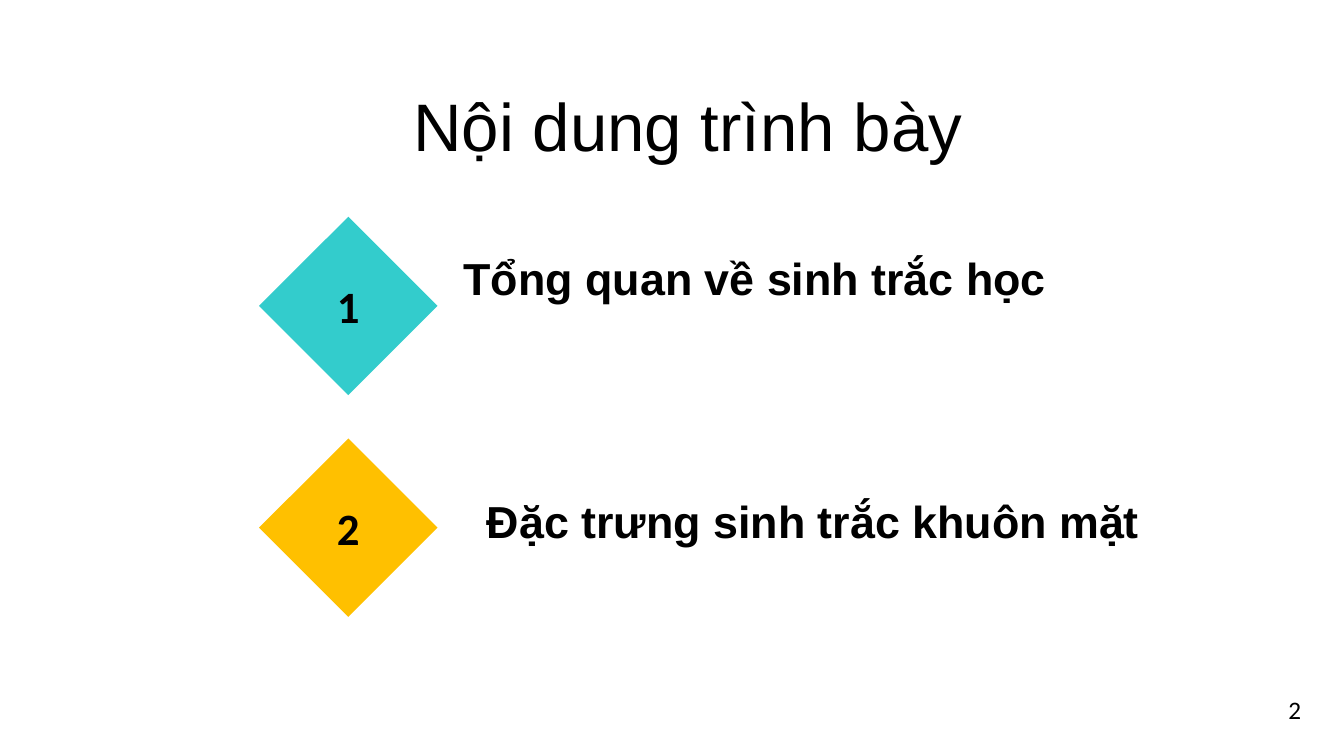
import pptx
import pptx.dml.color
import pptx.enum.shapes
import pptx.enum.text
import pptx.util

PX = 9144
ALIGN = pptx.enum.text.PP_ALIGN
ANCHOR = pptx.enum.text.MSO_ANCHOR
THEME = {
    "ink": "000000",
    "markers": ["33CCCC", "FFC000"],
    "title": {"name": "Arial", "size": pptx.util.Pt(48), "bold": False},
    "topic": {"name": "Arial", "size": pptx.util.Pt(32), "bold": True},
    "marker": {"name": "Calibri", "size": pptx.util.Pt(32), "bold": True},
    "page": {"name": "Calibri", "size": pptx.util.Pt(18), "bold": False},
}
TOPICS = [
    {"text": "Tổng quan về sinh trắc học", "offset": (193, 29)},
    {"text": "Đặc trưng sinh trắc khuôn mặt", "offset": (216, 50)},
]


def color(value):
    """Return the colour for a hexadecimal value."""
    return pptx.dml.color.RGBColor.from_string(value)


def emu(box):
    """Turn a box in px into EMU lengths."""
    return [length * PX for length in box]


def write(shape, text, style, align=ALIGN.LEFT, anchor=ANCHOR.TOP, wrap=True, inset=(10, 5)):
    """Put one formatted paragraph into a shape."""
    frame = shape.text_frame
    horizontal, vertical = emu(inset)
    frame_format = {
        "word_wrap": wrap,
        "auto_size": pptx.enum.text.MSO_AUTO_SIZE.NONE,
        "vertical_anchor": anchor,
        "margin_left": horizontal,
        "margin_right": horizontal,
        "margin_top": vertical,
        "margin_bottom": vertical,
    }
    for name, value in frame_format.items():
        setattr(frame, name, value)
    paragraph = frame.paragraphs[0]
    paragraph.alignment = align
    run = paragraph.add_run()
    run.text = text
    for name, value in THEME[style].items():
        setattr(run.font, name, value)
    run.font.color.rgb = color(THEME["ink"])


def add_title(slide, box, text):
    """Place and fill the title placeholder."""
    title = slide.shapes.title
    for name, value in zip(("left", "top", "width", "height"), emu(box)):
        setattr(title, name, value)
    write(title, text, "title", ALIGN.CENTER, ANCHOR.MIDDLE)


def add_topic(slide, box, number, topic, fill):
    """Draw a numbered diamond in the box with its topic beside it."""
    left, top, width, height = box
    diamond = slide.shapes.add_shape(pptx.enum.shapes.MSO_SHAPE.DIAMOND, *emu(box))
    diamond.shadow.inherit = False
    diamond.fill.solid()
    diamond.fill.fore_color.rgb = color(fill)
    diamond.line.fill.background()
    write(diamond, str(number), "marker", ALIGN.CENTER, ANCHOR.MIDDLE, inset=(13, 7))
    right, down = topic["offset"]
    label = slide.shapes.add_textbox(*emu((left + right, top + down, 693, 63)))
    write(label, topic["text"], "topic")


def add_agenda(slide, box):
    """Stack the topics at an equal pitch from the top of the box."""
    left, top, size, height = box
    pitch = (height - size) // (len(TOPICS) - 1)
    for index, (topic, fill) in enumerate(zip(TOPICS, THEME["markers"])):
        add_topic(slide, (left, top + index * pitch, size, size), index + 1, topic, fill)


def add_page_number(slide, box, number):
    """Write the page number in the box."""
    write(slide.shapes.add_textbox(*emu(box)), str(number), "page", wrap=False)


def main():
    """Build the agenda slide and save it."""
    presentation = pptx.Presentation()
    presentation.slide_width, presentation.slide_height = emu((1333, 750))
    slide = presentation.slides.add_slide(presentation.slide_layouts.get_by_name("Title Only"))
    add_title(slide, (16, 82, 1333, 84), "Nội dung trình bày")
    add_agenda(slide, (257, 215, 177, 397))
    add_page_number(slide, (1268, 684, 35, 40), 2)
    presentation.save("out.pptx")


if __name__ == "__main__":
    main()
